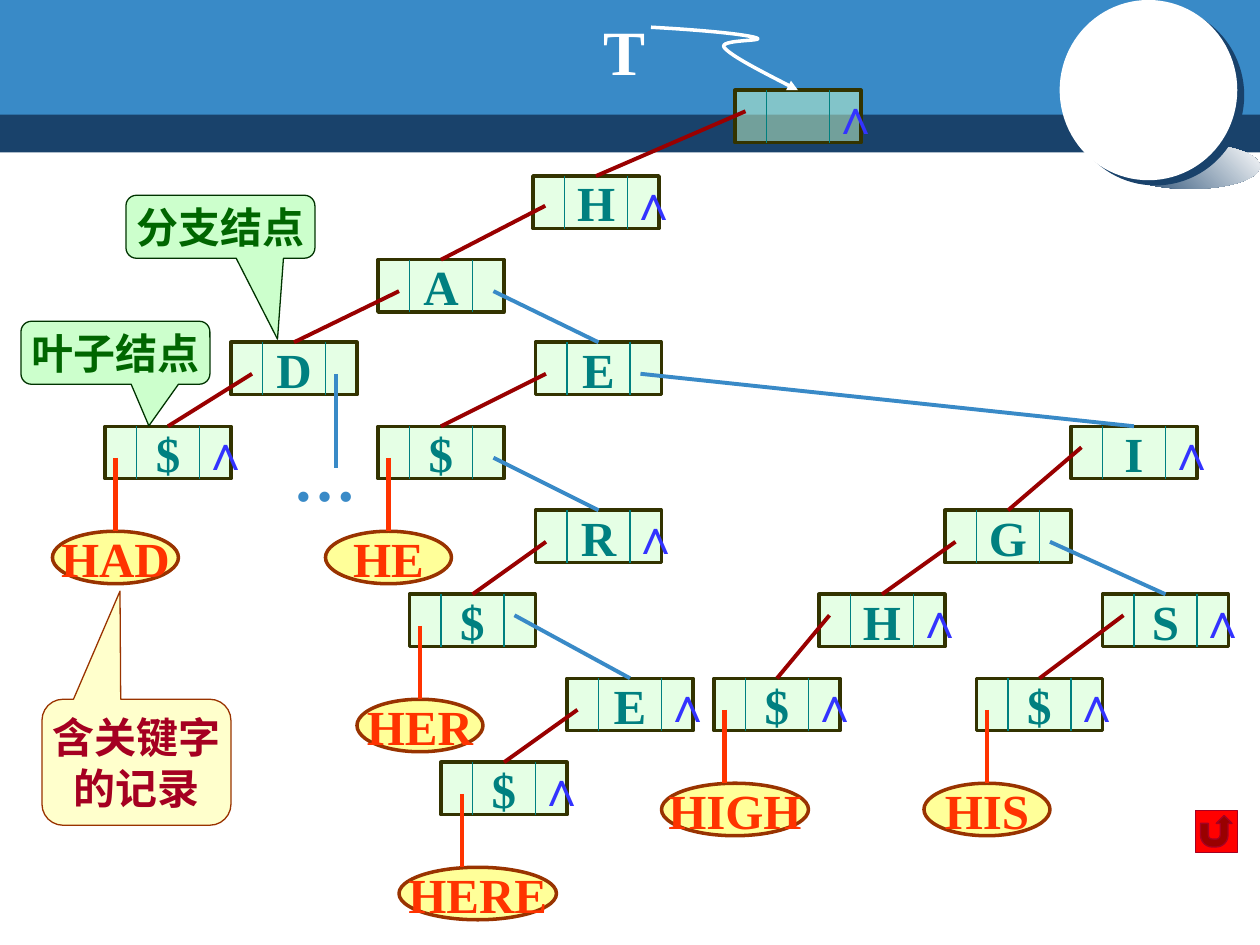
"""Build a slide showing a key tree as a linked list of child and sibling nodes."""
import pptx
import pptx.util
import pptx.dml.color
import pptx.enum.shapes
import pptx.enum.text
import pptx.oxml.ns
from lxml import etree

Pt = pptx.util.Pt
SHAPE = pptx.enum.shapes.MSO_SHAPE
qn = pptx.oxml.ns.qn
FONT = "Times New Roman"
HEX = {
    "navy": "19426B", "blue": "398AC7", "white": "FFFFFF", "mint": "CCFFCC",
    "olive": "333300", "teal": "008080", "null": "3333FF", "child": "990000",
    "orange": "FF3300", "lemon": "FFFF99", "brown": "993300", "cream": "FFFFCC",
    "forest": "003300", "green": "006600", "wine": "A50021", "red": "FF0000",
}
WIDE, HIGH = 72, 30
TOPS = [51.6, 100.6, 148.4] + [195.6 + 48 * i for i in range(6)]

# name: left, level, letter, has null sibling
NODES = {
    "root": (420, 0, "", True), "H": (304.6, 1, "H", True),
    "HA": (216, 2, "A", False), "HAD": (132, 3, "D", False),
    "HAD$": (60, 4, "$", True), "HE": (306, 3, "E", False),
    "HE$": (216, 4, "$", False), "HER": (306, 5, "R", True),
    "HER$": (234, 6, "$", False), "HERE": (324, 7, "E", True),
    "HERE$": (252, 8, "$", True), "HI": (612, 4, "I", True),
    "HIG": (540, 5, "G", False), "HIGH": (468, 6, "H", True),
    "HIGH$": (408, 7, "$", True), "HIS": (630, 6, "S", True),
    "HIS$": (558, 7, "$", True),
}
CHILDREN = [
    ("root", "H", 6, 12), ("H", "HA", 7, 17), ("HA", "HAD", 12, 18),
    ("HAD", "HAD$", 12, 18), ("HE", "HE$", 6, 18), ("HER", "HER$", 6, 18),
    ("HERE", "HERE$", 6, 18), ("HI", "HIG", 6, 12), ("HIG", "HIGH", 6, 18),
    ("HIGH", "HIGH$", 6, 12), ("HIS", "HIS$", 12, 12),
]
SIBLINGS = [
    ("HA", "HE", 66, 18), ("HE", "HI", 60, 18), ("HE$", "HER", 66, 18),
    ("HER$", "HERE", 60, 12), ("HIG", "HIS", 60, 18),
]
# word: oval left, oval width, stem offset
WORDS = {
    "HAD": (30, 72, 6), "HE": (186, 72, 6), "HER": (204, 72, 6),
    "HERE": (228, 90, 12), "HIGH": (378, 84, 6), "HIS": (528, 72, 6),
}


def rgb(name):
    """Return the named colour."""
    return pptx.dml.color.RGBColor.from_string(HEX[name])


def write(shape, text, size, hue, mid=True):
    """Put bold text into a shape."""
    frame = shape.text_frame
    frame.text = text
    frame.word_wrap = False
    if mid:
        frame.vertical_anchor = pptx.enum.text.MSO_ANCHOR.MIDDLE
    for para in frame.paragraphs:
        if mid:
            para.alignment = pptx.enum.text.PP_ALIGN.CENTER
        for run in para.runs:
            run.font.name, run.font.size, run.font.bold = FONT, Pt(size), True
            run.font.color.rgb = rgb(hue)


def draw(slide, kind, box, fill, edge=None, width=0.75):
    """Add a filled preset shape."""
    shape = slide.shapes.add_shape(kind, *map(Pt, box))
    shape.shadow.inherit = False
    shape.fill.solid()
    shape.fill.fore_color.rgb = rgb(fill)
    if edge:
        shape.line.color.rgb = rgb(edge)
        shape.line.width = Pt(width)
    else:
        shape.line.fill.background()
    return shape


def label(slide, box, text, size, hue):
    """Add a text box that fits its text."""
    shape = slide.shapes.add_textbox(*map(Pt, box))
    write(shape, text, size, hue, mid=False)
    shape.text_frame.auto_size = pptx.enum.text.MSO_AUTO_SIZE.SHAPE_TO_FIT_TEXT


def line(slide, start, end, hue, width):
    """Add a straight line."""
    kind = pptx.enum.shapes.MSO_CONNECTOR.STRAIGHT
    wire = slide.shapes.add_connector(kind, *map(Pt, start + end))
    wire.line.color.rgb = rgb(hue)
    wire.line.width = Pt(width)
    etree.SubElement(wire.element.spPr, qn("a:effectLst"))


def node(slide, left, level, text, null):
    """Add a three-part tree node."""
    top = TOPS[level]
    shape = draw(slide, SHAPE.RECTANGLE, (left, top, WIDE, HIGH), "mint", "olive", 2)
    tint = shape.element.spPr.find(qn("a:solidFill"))[0]
    etree.SubElement(tint, qn("a:alpha"), val="50000")
    if text:
        write(shape, text, 28, "teal")
    for x in (left + 18, left + 54):
        line(slide, (x, top), (x, top + HIGH), "teal", 0.75)
    if null:
        label(slide, (left + 48, top - 6, 31.7, 41), "∧", 28, "null")


def link(slide, start, end, dx, dy, hue):
    """Join a node to the top centre of another."""
    (x, level), (left, below) = NODES[start][:2], NODES[end][:2]
    line(slide, (x + dx, TOPS[level] + dy), (left + WIDE / 2, TOPS[below]), hue, 2.25)


def word(slide, text, left, width, dx):
    """Add a record oval and the stem from its leaf."""
    x, level = NODES[text + "$"][:2]
    top = TOPS[level]
    oval = draw(slide, SHAPE.OVAL, (left, top + 60, width, HIGH), "lemon", "brown", 2)
    write(oval, text, 28, "orange")
    line(slide, (x + dx, top + 18), (x + dx, top + 60), "orange", 2.5)


def callout(slide, box, tip, text, fill, edge, hue):
    """Add a rounded callout."""
    shape = draw(slide, SHAPE.ROUNDED_RECTANGULAR_CALLOUT, box, fill, edge)
    for i, value in enumerate(tip + (0.167,)):
        shape.adjustments[i] = value
    write(shape, text, 24, hue)


def curve(slide, start, points):
    """Add a curved arrow from Bezier points."""
    pen = slide.shapes.build_freeform(Pt(start[0]), Pt(start[1]))
    pen.add_line_segments([(Pt(x), Pt(y)) for x, y in points], close=False)
    shape = pen.convert_to_shape()
    shape.shadow.inherit = False
    shape.fill.background()
    shape.line.color.rgb = rgb("white")
    shape.line.width = Pt(2)
    steps = list(shape.element.iter(qn("a:lnTo")))
    for i in range(0, len(steps), 3):
        bend = etree.Element(qn("a:cubicBezTo"))
        steps[i].addprevious(bend)
        for step in steps[i:i + 3]:
            bend.append(step[0])
            step.getparent().remove(step)
    etree.SubElement(shape.line._get_or_add_ln(), qn("a:tailEnd"), type="triangle")


def banner(slide):
    """Add the header bands and the disc with its shade."""
    draw(slide, SHAPE.RECTANGLE, (0, 62.6, 720, 24.5), "navy")
    draw(slide, SHAPE.RECTANGLE, (0, 0, 720, 65.5), "blue")
    shade = draw(slide, SHAPE.OVAL, (640, 82, 80, 26), "navy")
    shade.fill.gradient()
    shade.fill.gradient_angle = 45
    for stop, hue in zip(shade.fill.gradient_stops, ("navy", "white")):
        stop.color.rgb = rgb(hue)
    disc = draw(slide, SHAPE.OVAL, (605.5, 0, 101.5, 103), "white")
    cast = etree.SubElement(disc.element.spPr.find(qn("a:effectLst")), qn("a:outerShdw"),
                            dist=str(Pt(5)), dir=str(37 * 60000), rotWithShape="0")
    etree.SubElement(cast, qn("a:srgbClr"), val=HEX["navy"])


def main():
    """Build and save the slide."""
    deck = pptx.Presentation()
    deck.slide_width, deck.slide_height = Pt(720), Pt(540)
    slide = deck.slides.add_slide(deck.slide_layouts[6])
    banner(slide)
    for spec in NODES.values():
        node(slide, *spec)
    for joint in CHILDREN:
        link(slide, *joint, "child")
    for joint in SIBLINGS:
        link(slide, *joint, "blue")
    line(slide, (192, 213.6), (192, 267.6), "blue", 2.25)
    label(slide, (160.6, 247, 50.4, 50.4), "…", 36, "blue")
    for text, place in WORDS.items():
        word(slide, text, *place)
    curve(slide, (372, 15.6), [
        (398, 17, 0)[:2], (425, 19.4), (432, 21.6),
        (439, 23.8), (409.5, 22.3), (414, 27.4),
        (418.5, 32.4), (437, 41.8), (456, 51.6)])
    label(slide, (337.7, 3.6, 40.3, 50.4), "T", 36, "white")
    green = ("mint", "forest", "green")
    callout(slide, (12, 183.6, 108, 36), (0.177, 1.16), "叶子结点", *green)
    callout(slide, (72, 111.6, 108, 36), (0.302, 1.785), "分支结点", *green)
    callout(slide, (24, 399.6, 108, 72), (-0.087, -1.358), "含关键字\n的记录",
            "cream", "brown", "wine")
    draw(slide, SHAPE.ACTION_BUTTON_RETURN, (683, 463, 24, 24), "red", "wine")
    deck.save("out.pptx")


if __name__ == "__main__":
    main()
